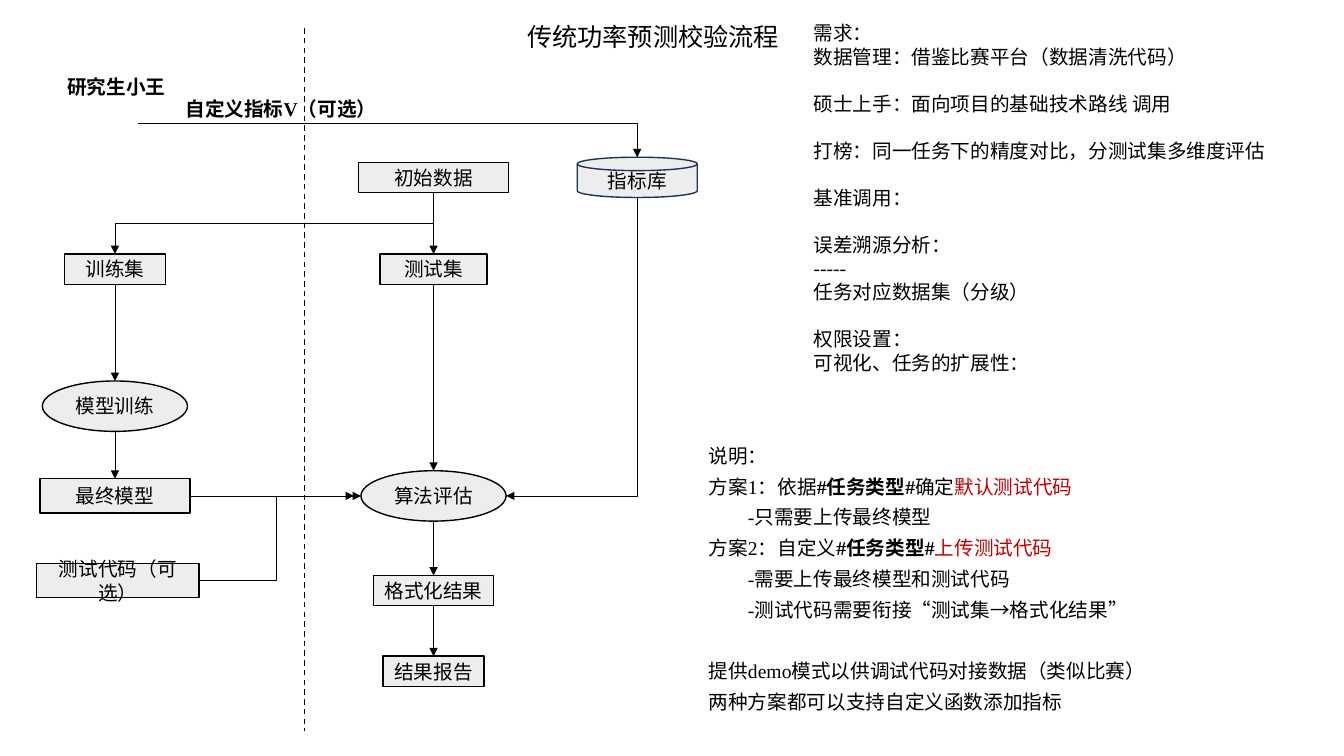
from dataclasses import dataclass

import pptx
import pptx.dml.color
import pptx.enum.dml
import pptx.enum.shapes
import pptx.enum.text
import pptx.oxml
import pptx.oxml.ns
import pptx.util

Inches, Pt = pptx.util.Inches, pptx.util.Pt
SHAPE = pptx.enum.shapes.MSO_SHAPE
CONNECTOR = pptx.enum.shapes.MSO_CONNECTOR
ALIGN = pptx.enum.text.PP_ALIGN
TOP, LEFT, BOTTOM, RIGHT = range(4)


@dataclass
class Theme:
    ink: str = "000000"
    accent: str = "C00000"
    node_fill: str = "EDEDED"
    disk_line: str = "1E3256"
    sans: str = "Noto Sans CJK SC"
    serif: str = "Times New Roman"
    body: float = 14
    title: float = 18
    leading: float = 1.2
    border: float = 1
    arrow: float = 0.5


def rgb(value):
    return pptx.dml.color.RGBColor.from_string(value)


def add_xml(parent, tag, **attributes):
    child = pptx.oxml.parse_xml(f"<a:{tag} {pptx.oxml.ns.nsdecls('a')}/>")
    for name, value in attributes.items():
        child.set(name, value)
    parent.append(child)


def port(end):
    """Return the (x, y) of an end given as (shape, side) or as inches."""
    sp, side = end
    if isinstance(sp, (int, float)):
        return Inches(sp), Inches(side)
    x = {LEFT: sp.left, RIGHT: sp.left + sp.width}.get(side, sp.left + sp.width // 2)
    y = {TOP: sp.top, BOTTOM: sp.top + sp.height}.get(side, sp.top + sp.height // 2)
    return x, y


def is_box(end):
    return hasattr(end[0], "auto_shape_type") and end[0].auto_shape_type == SHAPE.FLOWCHART_PROCESS


class Diagram:
    def __init__(self, slide, theme):
        self.slide, self.theme = slide, theme

    def run(self, p, text, size, font, bold=False, color=None):
        r = p.add_run()
        r.text = text
        r.font.size = Pt(size)
        r.font.name = font
        r.font.bold = bold
        r.font.color.rgb = rgb(color or self.theme.ink)
        add_xml(r.font._element, "ea", typeface=self.theme.sans)

    def node(self, text, x, y, width, height=0.3, kind=SHAPE.FLOWCHART_PROCESS, line=None):
        """Draw a labelled shape centred on (x, y)."""
        sp = self.slide.shapes.add_shape(kind, Inches(x - width / 2), Inches(y - height / 2),
                                         Inches(width), Inches(height))
        sp.shadow.inherit = False
        sp.fill.solid()
        sp.fill.fore_color.rgb = rgb(self.theme.node_fill)
        sp.line.color.rgb = rgb(line or self.theme.ink)
        sp.line.width = Pt(self.theme.border)
        tf = sp.text_frame
        tf.word_wrap = True
        tf.vertical_anchor = pptx.enum.text.MSO_ANCHOR.MIDDLE
        p = tf.paragraphs[0]
        p.alignment = ALIGN.CENTER
        p.line_spacing = Pt(self.theme.body * self.theme.leading)
        self.run(p, text, self.theme.body, self.theme.sans)
        return sp

    def text(self, lines, x, y, width, height, size=None, font=None, leading=None, wrap=True):
        """Each line is (runs, space before in points, left margin in inches)."""
        size = size or self.theme.body
        leading = leading or size * self.theme.leading
        tf = self.slide.shapes.add_textbox(Inches(x), Inches(y), Inches(width), Inches(height)).text_frame
        tf.word_wrap = wrap
        for i, (runs, before, margin) in enumerate(lines):
            p = tf.add_paragraph() if i else tf.paragraphs[0]
            p.line_spacing = Pt(leading)
            p.space_before = Pt(before)
            if margin:
                p._p.get_or_add_pPr().set("marL", str(Inches(margin)))
            for text, style in runs:
                self.run(p, text, size, font or self.theme.serif, **style)

    def line(self, start, end, kind=CONNECTOR.STRAIGHT, width=None):
        c = self.slide.shapes.add_connector(kind, *port(start), *port(end))
        c.line.color.rgb = rgb(self.theme.ink)
        c.line.width = Pt(width or self.theme.arrow)
        add_xml(c._element.spPr, "effectLst")
        return c

    def arrow(self, start, end, bend=None, turned=False):
        """Bend is a preset elbow; a turned one leaves downwards and runs left."""
        c = self.line(start, end, CONNECTOR.ELBOW if bend else CONNECTOR.STRAIGHT)
        add_xml(c.line._get_or_add_ln(), "tailEnd", type="triangle")
        if is_box(start):
            c.begin_connect(*start)
        if is_box(end):
            c.end_connect(*end)
        if bend:
            c._element.spPr.prstGeom.set("prst", bend)
        if turned:
            (x1, y1), (x2, y2) = port(start), port(end)
            w, h = y2 - y1, x1 - x2
            xfrm = c._element.spPr.xfrm
            xfrm.attrib.pop("flipH", None)
            xfrm.set("rot", str(90 * 60000))
            c.left, c.top = (x1 + x2 - w) // 2, (y1 + y2 - h) // 2
            c.width, c.height = w, h


def plain(text, before=0, margin=0):
    return [(text, {})], before, margin


def draw_flow(d):
    train_x, test_x, metric_x, model_y = 1.14, 4.3, 6.32, 4.92
    data = d.node("初始数据", test_x, 1.76, 1.49)
    train_set = d.node("训练集", train_x, 2.67, 1)
    test_set = d.node("测试集", test_x, 2.67, 1.06)
    training = d.node("模型训练", train_x, 4.03, 1.44, 0.5, SHAPE.OVAL)
    model = d.node("最终模型", train_x, model_y, 1.49, 0.34)
    test_code = d.node("测试代码（可选）", 1.17, 5.76, 1.61, 0.34)
    evaluation = d.node("算法评估", test_x, model_y, 1.44, 0.5, SHAPE.OVAL)
    result = d.node("格式化结果", test_x, 5.86, 1.19)
    report = d.node("结果报告", test_x, 6.66, 1)
    metrics = d.node("指标库", metric_x, 1.76, 1.19, 0.4,
                     SHAPE.FLOWCHART_MAGNETIC_DISK, d.theme.disk_line)

    for upper, lower in ((data, test_set), (train_set, training), (training, model),
                         (test_set, evaluation), (evaluation, result), (result, report)):
        d.arrow((upper, BOTTOM), (lower, TOP))
    d.arrow((model, RIGHT), (evaluation, LEFT))
    d.arrow((data, BOTTOM), (train_set, TOP), "bentConnector3", turned=True)
    d.arrow((test_code, RIGHT), (3.51, model_y), "bentConnector3")
    d.arrow((1.37, 1.22), (metrics, TOP), "bentConnector2")
    d.arrow((metrics, BOTTOM), (evaluation, RIGHT), "bentConnector2", turned=True)
    divider = d.line((3.02, 0.28), (3.02, 7.25), width=d.theme.border)
    divider.line.dash_style = pptx.enum.dml.MSO_LINE.DASH


def draw_text(d):
    t = d.theme
    bold, accent = {"bold": True}, {"color": t.accent}
    d.text([plain("传统功率预测校验流程")], 5.13, 0.16, 2.73, 0.4, t.title, t.sans, wrap=False)
    d.text([([("研究生小王", bold)], 0, 0)], 0.57, 0.69, 1.24, 0.34)
    d.text([([("自定义指标V（可选）", bold)], 0, 0)], 1.74, 0.91, 2.32, 0.34)

    gap = t.body * t.leading
    d.text([
        plain("需求："),
        plain("数据管理：借鉴比赛平台（数据清洗代码）"),
        plain("硕士上手：面向项目的基础技术路线 调用", gap),
        plain("打榜：同一任务下的精度对比，分测试集多维度评估", gap),
        plain("基准调用：", gap),
        plain("误差溯源分析：", gap),
        plain("-----"),
        plain("任务对应数据集（分级）"),
        plain("权限设置：", gap),
        plain("可视化、任务的扩展性："),
    ], 7.97, 0.16, 5.21, 4.34)

    leading, indent = 22, 0.39
    d.text([
        plain("说明："),
        ([("方案1：依据", {}), ("#任务类型#", bold), ("确定", {}), ("默认测试代码", accent)], 0, 0),
        plain("-只需要上传最终模型", margin=indent),
        ([("方案2：自定义", {}), ("#任务类型#", bold), ("上传测试代码", accent)], 0, 0),
        plain("-需要上传最终模型和测试代码", margin=indent),
        plain("-测试代码需要衔接“测试集→格式化结果”", margin=indent),
        plain("提供demo模式以供调试代码对接数据（类似比赛）", leading),
        plain("两种方案都可以支持自定义函数添加指标"),
    ], 6.93, 4.28, 5.21, 3.11, leading=leading)


def main():
    prs = pptx.Presentation()
    prs.slide_width, prs.slide_height = Inches(13.33), Inches(7.5)
    d = Diagram(prs.slides.add_slide(prs.slide_layouts[6]), Theme())
    draw_flow(d)
    draw_text(d)
    prs.save("out.pptx")


if __name__ == "__main__":
    main()
